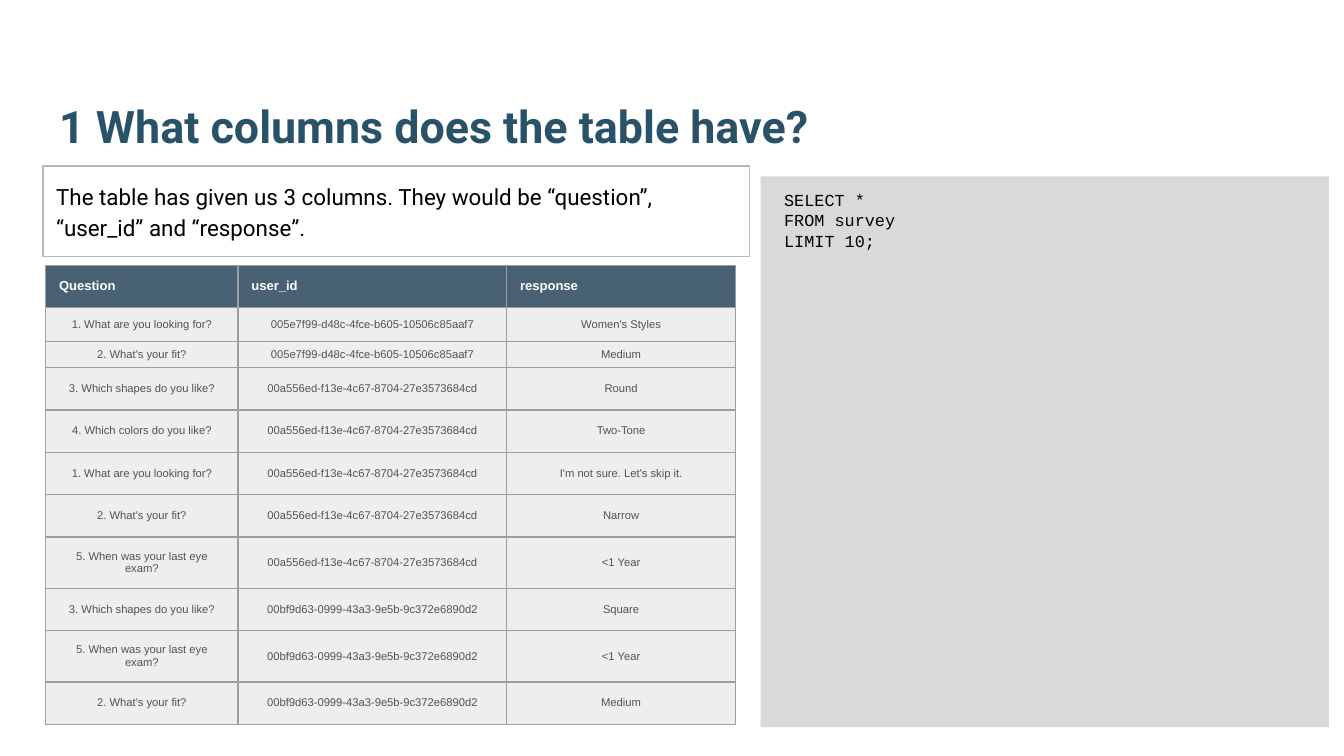
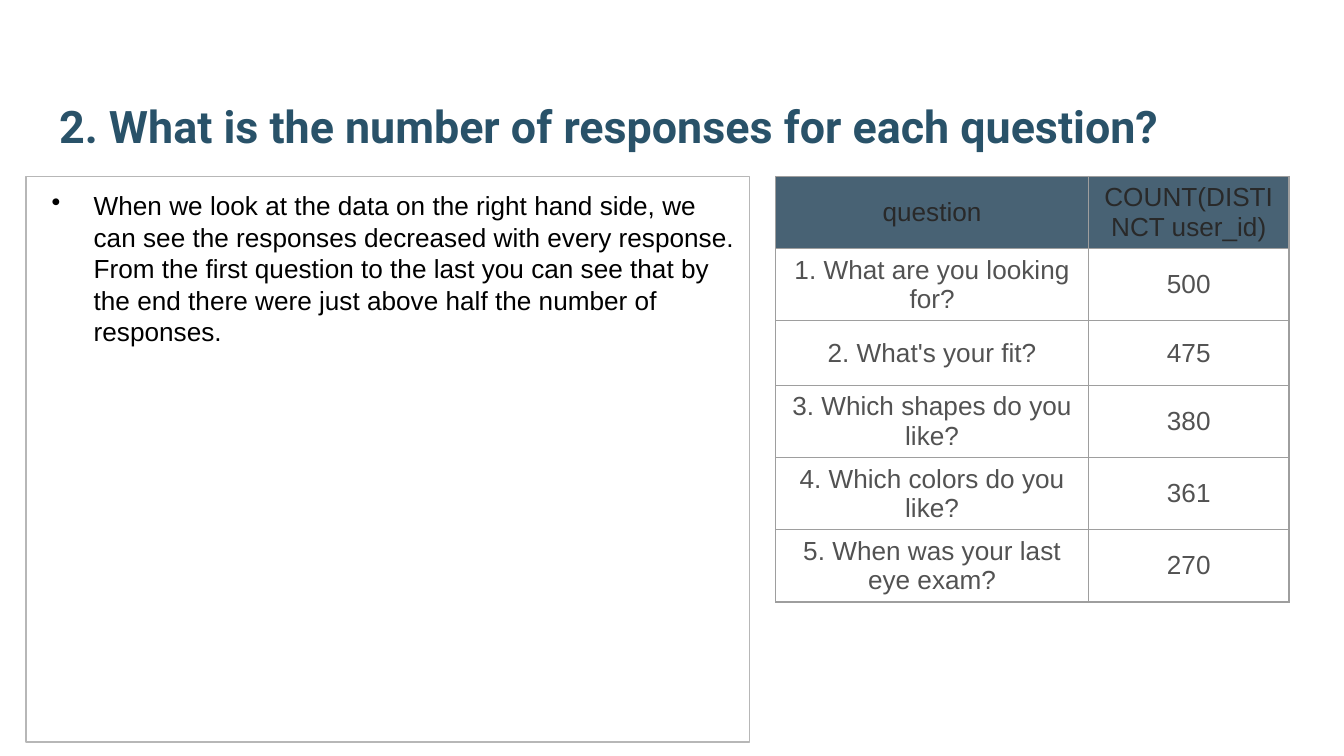
from lxml import etree
from pptx import Presentation
from pptx.dml.color import RGBColor
from pptx.enum.shapes import MSO_SHAPE
from pptx.enum.text import MSO_ANCHOR, PP_ALIGN
from pptx.oxml.ns import qn
from pptx.util import Pt

RECTANGLE = MSO_SHAPE.RECTANGLE
TOP, MIDDLE, BOTTOM = MSO_ANCHOR.TOP, MSO_ANCHOR.MIDDLE, MSO_ANCHOR.BOTTOM
LEFT, CENTER = PP_ALIGN.LEFT, PP_ALIGN.CENTER

TITLE_BLUE = RGBColor(0x29, 0x52, 0x69)
HEADER_BLUE = RGBColor(0x20, 0x40, 0x56)
HEADER_INK = RGBColor(0x29, 0x29, 0x29)
BODY_INK = RGBColor(0x52, 0x52, 0x52)
BLACK = RGBColor(0, 0, 0)
WHITE = RGBColor(0xFF, 0xFF, 0xFF)
CODE_GREY = RGBColor(0xD9, 0xD9, 0xD9)
ROW_GREY = RGBColor(0xEE, 0xEE, 0xEE)
BOX_LINE = RGBColor(0xB7, 0xB7, 0xB7)
CELL_LINE = RGBColor(0x9E, 0x9E, 0x9E)

HEADER_OPACITY = 82
LINE_WIDTH = 0.75
INSET = 7.2
CELL_INSET = 3.6

COLUMNS_TITLE = "1 What columns does the table have?"
COLUMNS_ANSWER = ("The table has given us 3 columns. They would be “question”, "
                  "“user_id” and “response”.")
QUERY = ["SELECT *", "FROM survey", "LIMIT 10;"]

LOOKING = "1. What are you looking for?"
FIT = "2. What's your fit?"
SHAPES = "3. Which shapes do you like?"
COLORS = "4. Which colors do you like?"
EXAM = "5. When was your last eye exam?"
USER_1 = "005e7f99-d48c-4fce-b605-10506c85aaf7"
USER_2 = "00a556ed-f13e-4c67-8704-27e3573684cd"
USER_3 = "00bf9d63-0999-43a3-9e5b-9c372e6890d2"

SURVEY_ROWS = [
    ("Question", "user_id", "response"),
    (LOOKING, USER_1, "Women's Styles"),
    (FIT, USER_1, "Medium"),
    (SHAPES, USER_2, "Round"),
    (COLORS, USER_2, "Two-Tone"),
    (LOOKING, USER_2, "I'm not sure. Let's skip it."),
    (FIT, USER_2, "Narrow"),
    (EXAM, USER_2, "<1 Year"),
    (SHAPES, USER_3, "Square"),
    (EXAM, USER_3, "<1 Year"),
    (FIT, USER_3, "Medium"),
]
SURVEY_HEIGHTS = [22.5, 18.2, 14] + [22.7] * 4 + [27.5, 22.7, 27.5, 22.7]

COUNTS_TITLE = "2. What is the number of responses for each question?"
COUNTS_ANSWER = (
    "When we look at the data on the right hand side, we can see the responses "
    "decreased with every response. From the first question to the last you can "
    "see that by the end there were just above half the number of responses."
)
COUNT_ROWS = [
    ("question", "COUNT(DISTINCT user_id)"),
    (LOOKING, "500"),
    (FIT, "475"),
    (SHAPES, "380"),
    (COLORS, "361"),
    (EXAM, "270"),
]
COUNT_HEIGHTS = [38.5, 38.5, 34.5, 38.5, 38.5, 38.5]


def set_font(paragraph, name, size, color, bold=False):
    font = paragraph.font
    font.name, font.size, font.bold = name, Pt(size), bold
    font.color.rgb = color


def set_insets(frame, left=INSET):
    frame.margin_left = Pt(left)
    frame.margin_top = frame.margin_right = frame.margin_bottom = Pt(INSET)


def add_titled_slide(presentation, text):
    slide = presentation.slides.add_slide(presentation.slide_layouts[5])
    title = slide.shapes.title
    title.left, title.top, title.width, title.height = map(Pt, (24.5, 23, 671, 66))
    frame = title.text_frame
    frame.text = text
    frame.word_wrap = True
    frame.vertical_anchor = BOTTOM
    set_insets(frame)
    paragraph = frame.paragraphs[0]
    paragraph.alignment = LEFT
    set_font(paragraph, "Roboto", 24, TITLE_BLUE, bold=True)
    return slide


def add_box(slide, place, lines, font, size, fill=None, left_inset=INSET):
    """Add a text rectangle: filled if a fill is given, outlined otherwise."""
    box = slide.shapes.add_shape(RECTANGLE, *map(Pt, place))
    box.shadow.inherit = False
    if fill is None:
        box.fill.background()
        box.line.color.rgb = BOX_LINE
        box.line.width = Pt(LINE_WIDTH)
    else:
        box.fill.solid()
        box.fill.fore_color.rgb = fill
        box.line.fill.background()
    frame = box.text_frame
    frame.text = "\n".join(lines)
    frame.word_wrap = True
    frame.vertical_anchor = TOP
    set_insets(frame, left_inset)
    for paragraph in frame.paragraphs:
        paragraph.alignment = LEFT
        set_font(paragraph, font, size, BLACK)
    return frame.paragraphs


def add_bullet(paragraph, indent):
    properties = paragraph._p.get_or_add_pPr()
    properties.set("marL", str(Pt(indent)))
    properties.set("indent", str(-Pt(indent)))
    bullet = etree.Element(qn("a:buChar"), char="•")
    properties.insert_element_before(bullet, "a:tabLst", "a:defRPr", "a:extLst")


def add_borders(cell):
    properties = cell._tc.get_or_add_tcPr()
    for index, side in enumerate(("a:lnL", "a:lnR", "a:lnT", "a:lnB")):
        line = etree.Element(qn(side), w=str(Pt(LINE_WIDTH)))
        fill = etree.SubElement(line, qn("a:solidFill"))
        etree.SubElement(fill, qn("a:srgbClr"), val=str(CELL_LINE))
        properties.insert(index, line)


def fill_cell(cell, color, opacity=100):
    if color is None:
        cell.fill.background()
        return
    cell.fill.solid()
    cell.fill.fore_color.rgb = color
    if opacity < 100:
        color_element = cell._tc.tcPr.find(".//" + qn("a:srgbClr"))
        etree.SubElement(color_element, qn("a:alpha"), val=str(opacity * 1000))


def add_data_table(slide, left, top, widths, heights, rows, body_size, body_fill, header):
    """Add a bordered table; header holds the look of the first row's text."""
    shape = slide.shapes.add_table(len(rows), len(widths), Pt(left), Pt(top),
                                   Pt(sum(widths)), Pt(sum(heights)))
    table = shape.table
    table.first_row = table.horz_banding = False
    for column, width in zip(table.columns, widths):
        column.width = Pt(width)
    body = dict(size=body_size, color=BODY_INK, bold=False,
                alignment=CENTER, anchor=MIDDLE, inset=CELL_INSET)
    for index, (row, height, texts) in enumerate(zip(table.rows, heights, rows)):
        row.height = Pt(height)
        look = body if index else header
        for cell, text in zip(row.cells, texts):
            cell.text = text
            cell.vertical_anchor = look["anchor"]
            cell.margin_left = cell.margin_right = Pt(INSET)
            cell.margin_top = cell.margin_bottom = Pt(look["inset"])
            paragraph = cell.text_frame.paragraphs[0]
            paragraph.alignment = look["alignment"]
            set_font(paragraph, "Arial", look["size"], look["color"], look["bold"])
            if index:
                fill_cell(cell, body_fill)
            else:
                fill_cell(cell, HEADER_BLUE, HEADER_OPACITY)
            add_borders(cell)


def build_columns_slide(presentation):
    slide = add_titled_slide(presentation, COLUMNS_TITLE)
    add_box(slide, (407.5, 94.5, 304.5, 295), QUERY, "Courier New", 9,
            fill=CODE_GREY, left_inset=12.6)
    answer = add_box(slide, (23, 89, 378.5, 48.5), [COLUMNS_ANSWER], "Roboto", 12)
    answer[0].line_spacing = 1.15
    header = dict(size=7, color=WHITE, bold=True,
                  alignment=LEFT, anchor=TOP, inset=INSET)
    add_data_table(slide, 24.5, 142.3, [103, 144, 122.5], SURVEY_HEIGHTS, SURVEY_ROWS,
                   body_size=6, body_fill=ROW_GREY, header=header)


def build_counts_slide(presentation):
    slide = add_titled_slide(presentation, COUNTS_TITLE)
    answer = add_box(slide, (14, 94.5, 387.5, 303), [COUNTS_ANSWER], "Arial", 14,
                     left_inset=13.7)
    add_bullet(answer[0], 22.5)
    header = dict(size=14, color=HEADER_INK, bold=False,
                  alignment=CENTER, anchor=MIDDLE, inset=CELL_INSET)
    add_data_table(slide, 415.5, 94.5, [167.7, 107.3], COUNT_HEIGHTS, COUNT_ROWS,
                   body_size=14, body_fill=None, header=header)


def main():
    presentation = Presentation()
    presentation.slide_width, presentation.slide_height = Pt(720), Pt(405)
    build_columns_slide(presentation)
    build_counts_slide(presentation)
    presentation.save("out.pptx")


if __name__ == "__main__":
    main()
